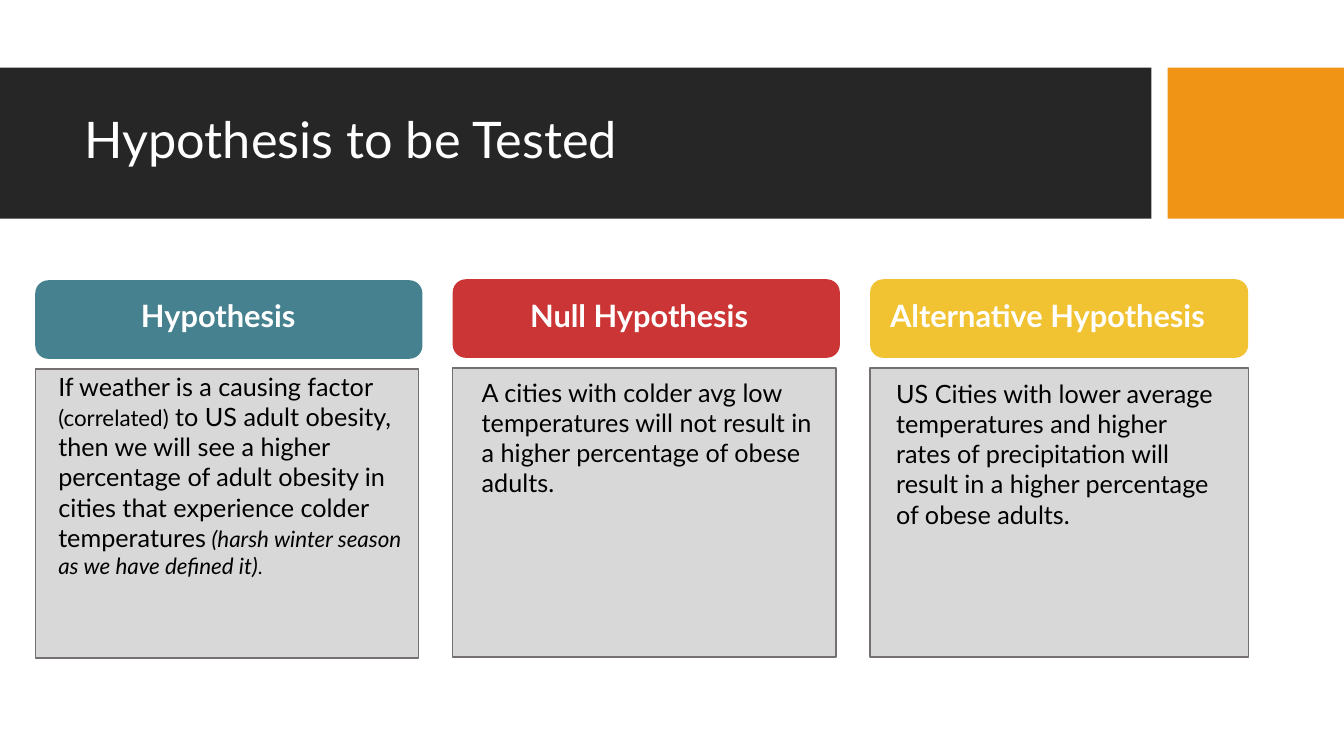
from dataclasses import dataclass

from pptx import Presentation
from pptx.dml.color import RGBColor
from pptx.enum.shapes import MSO_SHAPE as Preset
from pptx.enum.text import MSO_ANCHOR as Anchor, PP_ALIGN as Align
from pptx.util import Pt

PX = 9144
FONT = "Lato"
COLORS = {
    "banner": "262626", "accent": "F09415", "white": "FFFFFF", "black": "000000",
    "panel": "D8D8D8", "outline": "757070",
    "teal": "45818E", "red": "CB3535", "yellow": "F1C232",
}


@dataclass
class Card:
    heading: str
    color: str
    runs: list
    top: int
    header_width: int
    panel_width: int
    heading_box: tuple
    body_box: tuple


CARDS = [
    Card("Hypothesis", "teal", [
        ("If weather is a causing factor ", 18, False),
        ("(correlated)", 16, False),
        (" to US adult obesity, then we will see a higher percentage of adult "
         "obesity in cities that experience colder temperatures", 18, False),
        (" ", 16, False),
        ("(harsh winter season as we have defined it)", 16, True),
        (".", 14, False),
    ], 278, 384, 380, (95, 11, 249, 47), (13, 85, 367, 219)),
    Card("Null Hypothesis", "red", [
        ("A cities with colder avg low temperatures will not result in "
         "a higher percentage of obese adults.", 18, False),
    ], 277, 384, 380, (67, 12, 249, 47), (19, 92, 347, 131)),
    Card("Alternative Hypothesis", "yellow", [
        ("US Cities with lower average temperatures and higher rates of "
         "precipitation will result in a higher percentage of obese adults.", 18, False),
    ], 277, 375, 375, (10, 12, 356, 47), (16, 93, 343, 162)),
]


def rgb(name):
    return RGBColor.from_string(COLORS[name])


def emu(*lengths):
    return [length * PX for length in lengths]


def style(paragraph, size, color, bold=False):
    paragraph.font.name = FONT
    paragraph.font.size = Pt(size)
    paragraph.font.bold = bold
    paragraph.font.color.rgb = rgb(color)


def add_block(slide, preset, box, fill, outline=None):
    block = slide.shapes.add_shape(preset, *emu(*box))
    block.shadow.inherit = False
    block.fill.solid()
    block.fill.fore_color.rgb = rgb(fill)
    if outline:
        block.line.color.rgb = rgb(outline)
        block.line.width = Pt(1)
    else:
        block.line.fill.background()


def add_text(slide, box, runs, size, color, bold=False):
    frame = slide.shapes.add_textbox(*emu(*box)).text_frame
    frame.word_wrap = True
    paragraph = frame.paragraphs[0]
    style(paragraph, size, color, bold)
    for words, run_size, italic in runs:
        run = paragraph.add_run()
        run.text = words
        if run_size != size:
            run.font.size = Pt(run_size)
        if italic:
            run.font.italic = True


def add_banner(slide, left, top, width, height):
    accent_width, gap = 175, 16
    bar_width = width - accent_width - gap
    add_block(slide, Preset.RECTANGLE, (left, top, bar_width, height), "banner")
    add_block(slide, Preset.RECTANGLE,
              (left + width - accent_width, top, accent_width, height), "accent")
    title = slide.shapes.title
    title.left, title.top, title.width, title.height = emu(left + 74, top + 15, 1051, 118)
    title.text_frame.text = "Hypothesis to be Tested"
    title.text_frame.vertical_anchor = Anchor.MIDDLE
    heading = title.text_frame.paragraphs[0]
    heading.alignment = Align.LEFT
    heading.line_spacing = 0.9
    style(heading, 36, "white")
    slide.shapes._spTree.append(title._element)


def add_card(slide, left, card):
    def inside(dx, dy, width, height):
        return left + dx, card.top + dy, width, height

    add_block(slide, Preset.FLOWCHART_PROCESS,
              inside(0, 88, card.panel_width, 287), "panel", "outline")
    add_block(slide, Preset.ROUNDED_RECTANGLE,
              inside(0, 0, card.header_width, 78), card.color)
    add_text(slide, inside(*card.heading_box), [(card.heading, 22, False)], 22, "white", True)
    add_text(slide, inside(*card.body_box), card.runs, 18, "black")


def main():
    deck = Presentation()
    deck.slide_width, deck.slide_height = emu(1333, 750)
    slide = deck.slides.add_slide(deck.slide_layouts[5])
    add_banner(slide, 0, 67, 1333, 150)
    for index, card in enumerate(CARDS):
        add_card(slide, 35 + 414 * index, card)
    deck.save("out.pptx")


if __name__ == "__main__":
    main()
